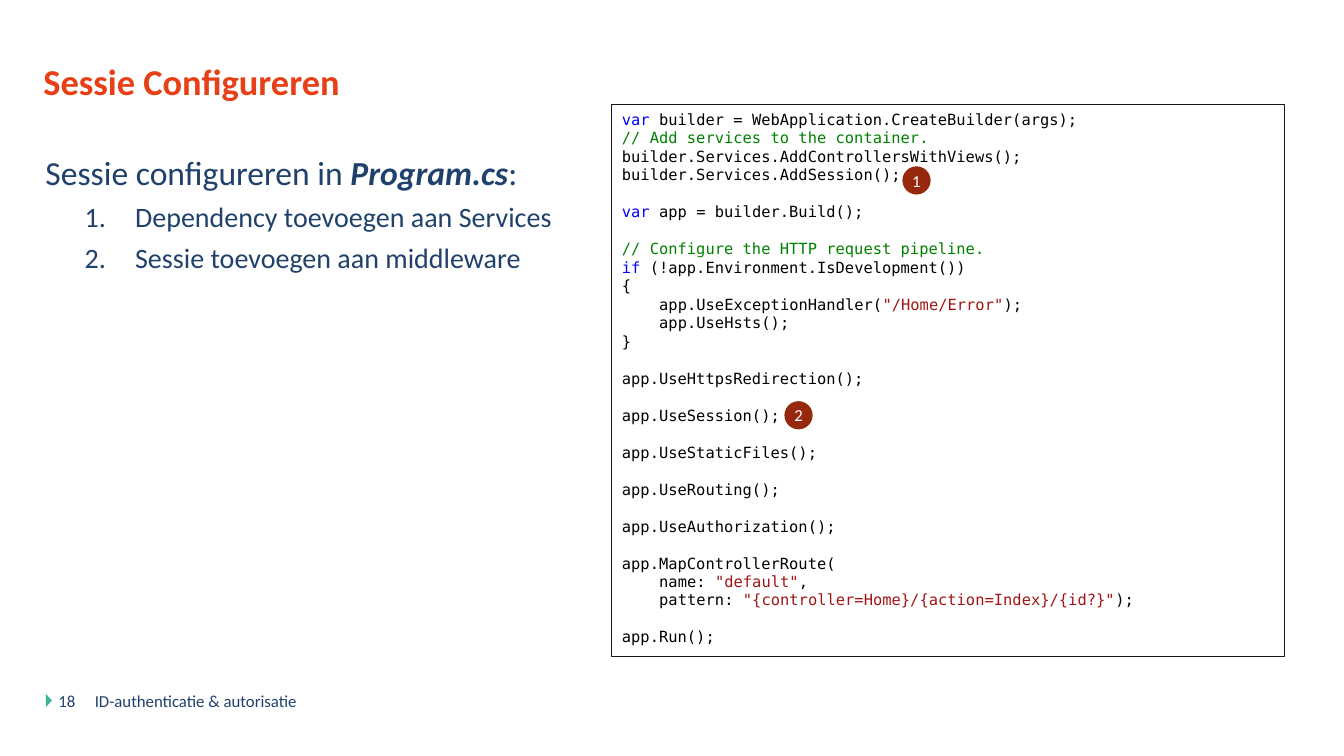
"""Build the slide on configuring sessions in Program.cs."""
from lxml import etree
from pptx import Presentation
from pptx import util as u
from pptx.dml.color import RGBColor
from pptx.enum import shapes, text
from pptx.oxml.ns import qn

NAVY, ORANGE, RUST, TEAL = "1F416B", "E73F16", "96280E", "3CB497"
BLACK, WHITE, BLUE, GREEN, RED = "000000", "FFFFFF", "0000FF", "008000", "A31515"


def color(value):
    """Turn a hex string into a colour."""
    return RGBColor.from_string(value)


def write(paragraph, content, size=12, fill=NAVY, font="Calibri", bold=False, italic=False):
    """Add a formatted run to a paragraph."""
    run = paragraph.add_run()
    run.text = content
    run.font.name, run.font.size = font, u.Pt(size)
    run.font.bold, run.font.italic = bold, italic
    run.font.color.rgb = color(fill)


presentation = Presentation()
presentation.slide_width, presentation.slide_height = u.Inches(13.33), u.Inches(7.5)
slide = presentation.slides.add_slide(presentation.slide_layouts[1])

marker = slide.shapes.add_shape(shapes.MSO_SHAPE.ISOSCELES_TRIANGLE, u.Inches(0.42), u.Inches(6.92),
                                u.Inches(0.13), u.Inches(0.06))
marker.rotation = 90
marker.shadow.inherit = False
marker.fill.solid()
marker.fill.fore_color.rgb = color(TEAL)
marker.line.fill.background()

title, body = slide.shapes.title, slide.placeholders[1]
title.left, title.top, title.width, title.height = map(u.Inches, (0.43, 0.67, 11.5, 0.75))
body.left, body.top, body.width, body.height = map(u.Inches, (0.45, 1.51, 5.18, 1.85))
footer = slide.shapes.add_textbox(u.Inches(0.94), u.Inches(6.85), u.Inches(4.5), u.Inches(0.4))
number = slide.shapes.add_textbox(u.Inches(0.58), u.Inches(6.85), u.Inches(0.31), u.Inches(0.4))
for shape in (title, body, footer, number):
    frame = shape.text_frame
    frame.margin_left = frame.margin_top = frame.margin_right = frame.margin_bottom = 0
    frame.vertical_anchor = text.MSO_ANCHOR.TOP
    frame.auto_size = text.MSO_AUTO_SIZE.NONE
    frame.word_wrap = True

heading = title.text_frame.paragraphs[0]
heading.alignment = text.PP_ALIGN.LEFT
heading.line_spacing = 0.8
write(heading, "Sessie Configureren", size=26, fill=ORANGE, bold=True)
write(footer.text_frame.paragraphs[0], "ID-authenticatie & autorisatie")
write(number.text_frame.paragraphs[0], "18")

intro = body.text_frame.paragraphs[0]
intro.space_before = u.Pt(10)
properties = intro._p.get_or_add_pPr()
properties.set("marL", "0")
properties.set("indent", "0")
etree.SubElement(properties, qn("a:buNone"))
write(intro, "Sessie configureren in ", size=24)
write(intro, "Program.cs", size=24, bold=True, italic=True)
write(intro, ":", size=24)

for step in ("Dependency toevoegen aan Services", "Sessie toevoegen aan middleware"):
    paragraph = body.text_frame.add_paragraph()
    paragraph.level = 1
    paragraph.space_before = u.Pt(5)
    properties = paragraph._p.get_or_add_pPr()
    properties.set("marL", str(u.Inches(0.89)))
    properties.set("indent", str(u.Inches(-0.5)))
    etree.SubElement(properties, qn("a:buFont"), typeface="+mj-lt")
    etree.SubElement(properties, qn("a:buAutoNum"), type="arabicPeriod")
    write(paragraph, step, size=20)

for label, left, top in (("1", 8.95, 1.65), ("2", 7.78, 3.98)):
    badge = slide.shapes.add_shape(shapes.MSO_SHAPE.OVAL, u.Inches(left), u.Inches(top),
                                   u.Inches(0.28), u.Inches(0.28))
    badge.shadow.inherit = False
    badge.fill.solid()
    badge.fill.fore_color.rgb = color(RUST)
    badge.line.fill.background()
    frame = badge.text_frame
    frame.margin_left = frame.margin_top = frame.margin_right = frame.margin_bottom = 0
    frame.vertical_anchor = text.MSO_ANCHOR.MIDDLE
    frame.paragraphs[0].alignment = text.PP_ALIGN.CENTER
    write(frame.paragraphs[0], label, fill=WHITE)

panel = slide.shapes.add_shape(shapes.MSO_SHAPE.RECTANGLE, u.Inches(6.07), u.Inches(1.04),
                               u.Inches(6.67), u.Inches(5.47))
panel.shadow.inherit = False
panel.fill.background()
panel.line.color.rgb = color("181716")
panel.line.width = u.Pt(0.75)
panel.text_frame.vertical_anchor = text.MSO_ANCHOR.TOP
panel.text_frame.word_wrap = True

code_blocks = [
    [(0, ("var", BLUE), (" builder = WebApplication.CreateBuilder(args);", BLACK)),
     (0, ("// Add services to the container.", GREEN)),
     (0, ("builder.Services.AddControllersWithViews();", BLACK)),
     (0, ("builder.Services.AddSession();", BLACK))],
    [(0, ("var", BLUE), (" app = builder.Build();", BLACK))],
    [(0, ("// Configure the HTTP request pipeline.", GREEN)),
     (0, ("if", BLUE), (" (!app.Environment.IsDevelopment())", BLACK)),
     (0, ("{", BLACK)),
     (1, ("app.UseExceptionHandler(", BLACK), ('"/Home/Error"', RED), (");", BLACK)),
     (1, ("app.UseHsts();", BLACK)),
     (0, ("}", BLACK))],
    [(0, ("app.UseHttpsRedirection();", BLACK))],
    [(0, ("app.UseSession();", BLACK))],
    [(0, ("app.UseStaticFiles();", BLACK))],
    [(0, ("app.UseRouting();", BLACK))],
    [(0, ("app.UseAuthorization();", BLACK))],
    [(0, ("app.MapControllerRoute(", BLACK)),
     (1, ("name: ", BLACK), ('"default"', RED), (",", BLACK)),
     (1, ("pattern: ", BLACK), ('"{controller=Home}/{action=Index}/{id?}"', RED), (");", BLACK))],
    [(0, ("app.Run();", BLACK))],
]
paragraph = panel.text_frame.paragraphs[0]
for block_index, block in enumerate(code_blocks):
    for line_index, (depth, *pieces) in enumerate(block):
        if block_index or line_index:
            paragraph = panel.text_frame.add_paragraph()
        paragraph.alignment = text.PP_ALIGN.LEFT
        if block_index and line_index == 0:
            paragraph.space_before = u.Pt(13.2)
        if depth:
            paragraph._p.get_or_add_pPr().set("marL", str(u.Inches(0.37 * depth)))
        for content, fill in pieces:
            write(paragraph, content, size=11, fill=fill, font="DejaVu Sans Mono")

presentation.save("out.pptx")
